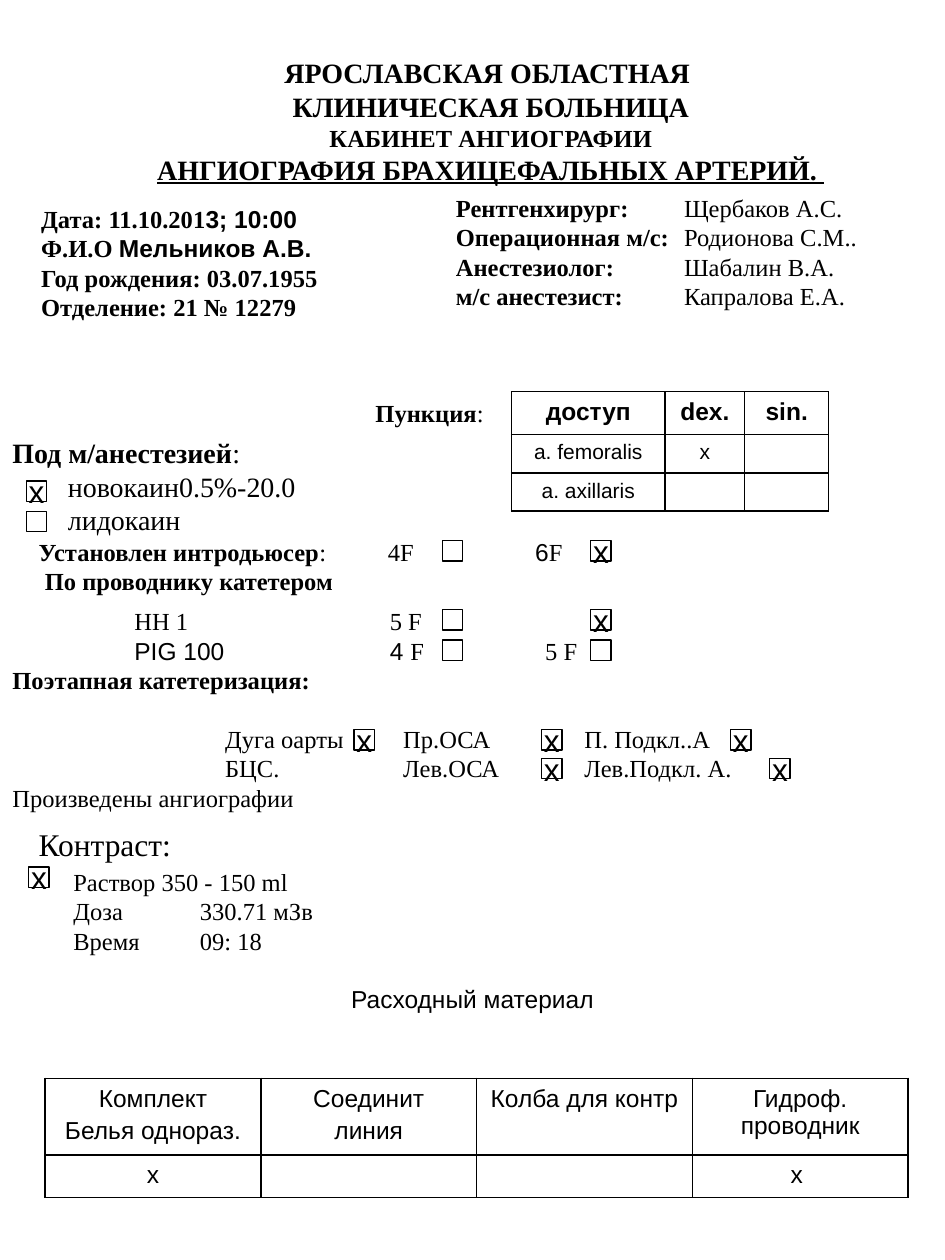
"""Build a one-page angiography protocol form."""
from dataclasses import dataclass, field
from typing import Any, NamedTuple

from lxml import etree
from pptx import Presentation
from pptx.dml.color import RGBColor
from pptx.enum.shapes import MSO_SHAPE
from pptx.enum.text import MSO_ANCHOR, MSO_AUTO_SIZE, PP_ALIGN
from pptx.oxml.ns import qn
from pptx.util import Cm, Pt

LEFT, CENTER = PP_ALIGN.LEFT, PP_ALIGN.CENTER
TOP, MIDDLE = MSO_ANCHOR.TOP, MSO_ANCHOR.MIDDLE
NO_FIT = MSO_AUTO_SIZE.NONE
RECTANGLE = MSO_SHAPE.RECTANGLE


@dataclass(frozen=True)
class Theme:
    """Colours, fonts and type sizes of the form."""
    ink: str = "000000"
    serif: str = "Times New Roman"
    sans: str = "Arial"
    small: int = 12
    body: int = 14
    head: int = 16
    large: int = 18
    thin: float = 0.75
    rule: float = 1


T = Theme()


class Run(NamedTuple):
    """A stretch of text in one format."""
    text: str
    bold: bool = False
    name: str = T.serif
    size: int = T.body
    underline: bool = False


class Para(NamedTuple):
    """A line of runs with its tab stops in cm and space before in points."""
    runs: list[Run]
    tabs: tuple[float, ...] = ()
    before: float = 0


@dataclass
class Box:
    """A text block with its place and insets in cm."""
    at: tuple[float, float, float, float]
    paras: list[Para]
    align: Any = LEFT
    anchor: Any = TOP
    wrap: bool = True
    insets: tuple[float, float] = (0.13, 0.13)


class Check(NamedTuple):
    """A checkbox with its corner in cm."""
    x: float
    y: float
    marked: bool = False


@dataclass
class Grid:
    """A ruled table with its measures in cm."""
    at: tuple[float, float]
    cols: list[float]
    rows: list[float]
    cells: list[list[str]]
    styles: list[dict]
    outer: float = field(default=T.rule)


def assign(target: Any, values: dict) -> None:
    """Set each named attribute on the target."""
    for key, value in values.items():
        setattr(target, key, value)


def write(tf: Any, paras: list[Para], align: Any) -> None:
    """Fill a text frame with formatted paragraphs."""
    for i, para in enumerate(paras):
        p = tf.add_paragraph() if i else tf.paragraphs[0]
        if para.tabs:
            stops = etree.SubElement(p._p.get_or_add_pPr(), qn("a:tabLst"))
            for pos in para.tabs:
                etree.SubElement(stops, qn("a:tab"), pos=str(Cm(pos)), algn="l")
        assign(p, {"alignment": align, "space_before": Pt(para.before)})
        for run in para.runs:
            r = p.add_run()
            r.text = run.text
            assign(r.font, {"name": run.name, "size": Pt(run.size),
                            "bold": run.bold, "underline": run.underline})
            r.font.color.rgb = RGBColor.from_string(T.ink)


def fill_box(sp: Any, box: Box) -> None:
    """Place a text shape and write its block."""
    assign(sp, dict(zip(("left", "top", "width", "height"), map(Cm, box.at))))
    tf = sp.text_frame
    assign(tf, {"auto_size": NO_FIT, "word_wrap": box.wrap, "vertical_anchor": box.anchor,
                "margin_left": Cm(0.25), "margin_right": Cm(0.25),
                "margin_top": Cm(box.insets[0]), "margin_bottom": Cm(box.insets[1])})
    write(tf, box.paras, box.align)


def draw_check(s: Any, check: Check) -> None:
    """Draw a checkbox, crossed when marked."""
    sp = s.shapes.add_shape(RECTANGLE, Cm(check.x), Cm(check.y), Cm(0.41), Cm(0.41))
    sp.shadow.inherit = False
    sp.fill.background()
    sp.line.color.rgb = RGBColor.from_string(T.ink)
    sp.line.width = Pt(T.thin)
    if check.marked:
        assign(sp.text_frame, {"word_wrap": False, "vertical_anchor": MIDDLE})
        write(sp.text_frame, [Para([Run("х", name=T.sans, size=T.large)])], CENTER)


def rule_cell(cell: Any, widths: dict[str, float]) -> None:
    """Draw the four borders of a cell."""
    tc_pr = cell._tc.get_or_add_tcPr()
    for i, (side, width) in enumerate(widths.items()):
        ln = etree.Element(qn(f"a:{side}"), w=str(Pt(width)))
        solid = etree.SubElement(ln, qn("a:solidFill"))
        etree.SubElement(solid, qn("a:srgbClr"), val=T.ink)
        tc_pr.insert(i, ln)


def draw_grid(s: Any, grid: Grid) -> None:
    """Draw a ruled table."""
    n_rows, n_cols = len(grid.rows), len(grid.cols)
    tbl = s.shapes.add_table(n_rows, n_cols, *map(Cm, grid.at),
                             Cm(sum(grid.cols)), Cm(sum(grid.rows))).table
    assign(tbl, {"first_row": False, "horz_banding": False})
    for col, width in zip(tbl.columns, grid.cols):
        col.width = Cm(width)
    for i, (row, height) in enumerate(zip(tbl.rows, grid.rows)):
        row.height = Cm(height)
        for j, (cell, text) in enumerate(zip(row.cells, grid.cells[i])):
            cell.fill.background()
            edges = {"lnL": j == 0, "lnR": j == n_cols - 1,
                     "lnT": i == 0, "lnB": i == n_rows - 1}
            rule_cell(cell, {k: grid.outer if e else T.rule for k, e in edges.items()})
            style = {"name": T.sans, **grid.styles[i]}
            if text:
                write(cell.text_frame, [Para([Run(line, **style)], before=2.8 if k else 0)
                                        for k, line in enumerate(text.split("\n"))], CENTER)
            else:
                end = cell.text_frame.paragraphs[0]._p.get_or_add_endParaRPr()
                end.set("sz", str(style.get("size", T.body) * 100))


TITLE = Box((1.32, 0.89, 17.15, 3.76), [
    Para([Run("ЯРОСЛАВСКАЯ ОБЛАСТНАЯ ", True, size=T.head)]),
    Para([Run("КЛИНИЧЕСКАЯ БОЛЬНИЦА", True, size=T.head)]),
    Para([Run("КАБИНЕТ АНГИОГРАФИИ", True)]),
    Para([Run("АНГИОГРАФИЯ БРАХИЦЕФАЛЬНЫХ АРТЕРИЙ. ", True, size=T.head, underline=True)]),
], CENTER, MIDDLE, insets=(0.13, 0.81))

STAFF = [("Рентгенхирург:", "Щербаков А.С."), ("Операционная м/с:", "Родионова С.М.."),
         ("Анестезиолог:", "Шабалин В.А."), ("м/с анестезист:", "Капралова Е.А.")]
DOSE, SIZES, VESSELS = (0.7, 3.25), (2.46, 7.61, 10.74), (4.29, 7.88, 11.53)

BOXES = [
    Box((0, 7.49, 8.69, 5.21), [
        Para([Run("Под м/анестезией", True, size=T.head), Run(":", size=T.head)]),
        *(Para([Run(f"\t{drug}", size=T.head)], (1.12,))
          for drug in ("новокаин0.5%-20.0", "лидокаин")),
    ], anchor=MIDDLE, insets=(0.81, 1.4)),
    Box((7.32, 7.9, 2.69, 0.84), [Para([Run("Пункция", True), Run(":")])], wrap=False),
    Box((0.53, 10.69, 16.05, 1.45), [
        Para([Run("Установлен интродьюсер", True), Run(":\t4F\t"),
              Run("6", name=T.sans), Run("F")], (7.04, 10.01)),
        Para([Run(" "), Run("По проводнику катетером", True)]),
    ]),
    Box((0.53, 16.51, 9.45, 4.7), [
        Para([Run("Контраст:", size=T.large)]),
        Para([Run("\tРаствор 350 - 150 ml")], DOSE, 2),
        Para([Run("\tДоза\t330.71 мЗв")], DOSE),
        Para([Run("\tВремя\t09: 18")], DOSE),
    ]),
    Box((0, 19.71, 19.05, 2.62), [Para([Run("Расходный материал", name=T.sans)])], CENTER),
    Box((0, 12.09, 19.05, 5.05), [
        Para([Run("\tНН 1\t5 F")], SIZES),
        Para([Run("\tРIG 100\t4 ", name=T.sans), Run("F\t5 F")], SIZES),
        Para([Run("Поэтапная катетеризация:", True)]),
        Para([Run("\tДуга оарты\tПр.ОСА\tП. Подкл..А")], VESSELS, 16.8),
        Para([Run("\tБЦС.\tЛев.ОСА\tЛев.Подкл. А.")], VESSELS),
        Para([Run("Произведены ангиографии")]),
    ]),
    Box((8.94, 3.76, 9.53, 2.64), [
        Para([Run(f"{role}\t", True), Run(person)], (4.6,)) for role, person in STAFF]),
    Box((0.58, 3.18, 6.55, 4.24), [
        Para([Run("Дата: 11.10.201", True), Run("3; 10:00", True, T.sans)]),
        Para([Run("Ф.И.О ", True), Run("Мельников А.В.", True, T.sans)]),
        Para([Run("Год рождения: 03.07.1955", True)]),
        Para([Run("Отделение: 21 № 12279", True)]),
    ], anchor=MIDDLE),
]

CHECKS = [
    Check(0.53, 9.7, True), Check(0.53, 10.31), Check(8.92, 10.9), Check(11.91, 10.9, True),
    Check(8.92, 12.29), Check(11.91, 12.29, True), Check(8.92, 12.9), Check(11.91, 12.9),
    Check(7.14, 14.71, True), Check(10.92, 14.71, True), Check(14.73, 14.71, True),
    Check(10.92, 15.29, True), Check(15.52, 15.29, True), Check(0.58, 17.48, True),
]

GRIDS = [
    Grid((10.31, 7.9), [3.1, 1.6, 1.7], [0.86, 0.76, 0.76],
         [["доступ", "dex.", "sin."], ["a. femoralis", "х", ""], ["a. axillaris", "", ""]],
         [{"bold": True}, {"size": T.small}, {"size": T.small}], T.thin),
    Grid((0.91, 21.74), [4.35] * 4, [1.54, 0.84],
         [["Комплект\nБелья однораз.", "Соединит\nлиния", "Колба для контр",
           "Гидроф. проводник"], ["х", "", "", "х "]], [{}, {}]),
]


def main() -> None:
    """Build and save the form."""
    prs = Presentation()
    assign(prs, {"slide_width": Cm(19.05), "slide_height": Cm(25.4)})
    s = prs.slides.add_slide(prs.slide_layouts[5])
    fill_box(s.shapes.title, TITLE)
    for box in BOXES:
        fill_box(s.shapes.add_textbox(*map(Cm, box.at)), box)
    for grid in GRIDS:
        draw_grid(s, grid)
    for check in CHECKS:
        draw_check(s, check)
    prs.save("out.pptx")


if __name__ == "__main__":
    main()
